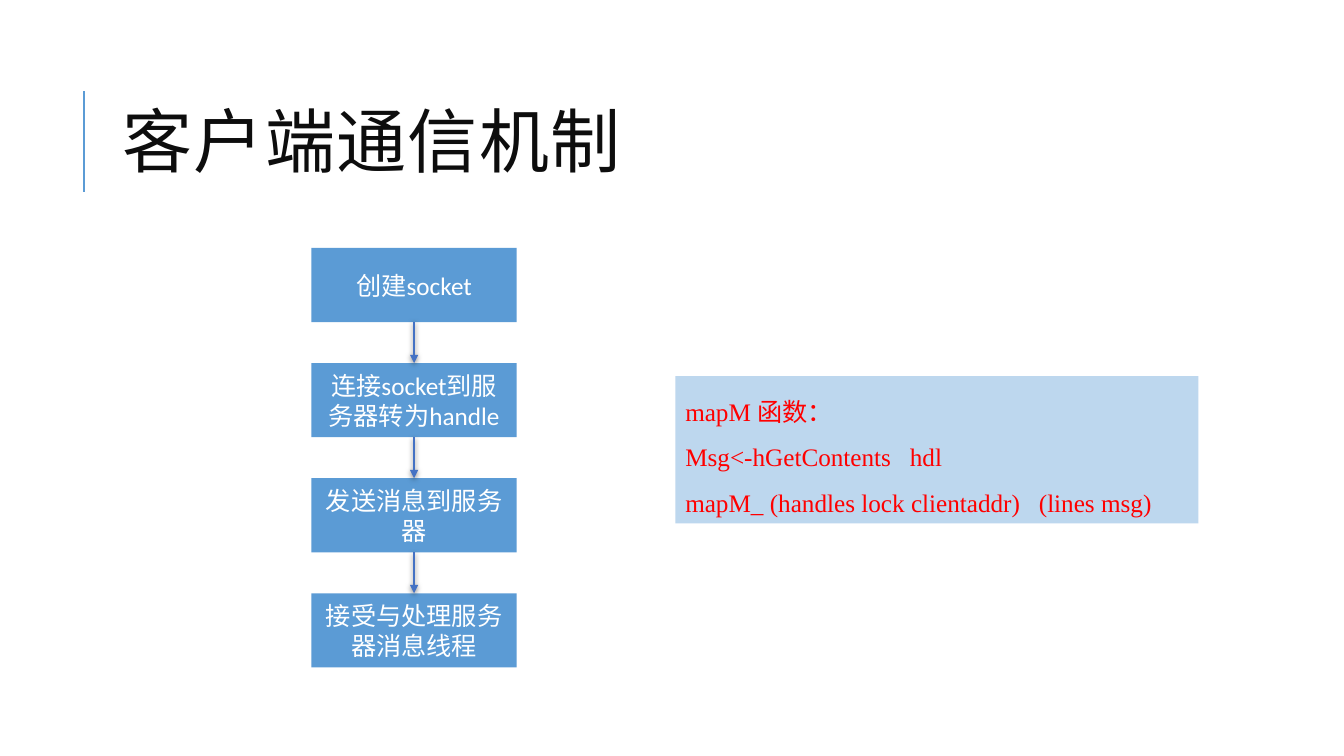
import pptx
import pptx.util
import pptx.dml.color
import pptx.enum.shapes
import pptx.enum.text
import pptx.oxml
import pptx.oxml.ns

Cm = pptx.util.Cm
Pt = pptx.util.Pt

TITLE = "客户端通信机制"
STEPS = [
    "创建socket",
    "连接socket到服务器转为handle",
    "发送消息到服务器",
    "接受与处理服务器消息线程",
]
CODE_LINES = [
    [("mapM ", "Times New Roman"), ("函数：", "Arial")],
    [("Msg<-hGetContents   hdl", "Times New Roman")],
    [("mapM_ (handles lock clientaddr)   (lines msg)", "Times New Roman")],
]

STEP_LEFT, STEP_TOP, STEP_WIDTH, STEP_HEIGHT = 7.85, 6.25, 5.17, 1.87
STEP_PITCH = 2.9
CODE_BOX = (17.02, 9.48, 13.18, 3.71)
TITLE_BOX = (2.84, 1.63, 27, 4.17)
BAR_X, BAR_TOP, BAR_BOTTOM = 2.11, 2.29, 4.83

NAMESPACE = pptx.oxml.ns.nsdecls("a")
NO_EFFECT = f"<a:effectLst {NAMESPACE}/>"
SHADOW = (
    f'<a:effectLst {NAMESPACE}><a:outerShdw blurRad="50800" dist="12700" dir="5400000" '
    'algn="t" rotWithShape="0"><a:srgbClr val="000000"><a:alpha val="50000"/>'
    "</a:srgbClr></a:outerShdw></a:effectLst>"
)
ARROWHEAD = f'<a:tailEnd {NAMESPACE} type="triangle"/>'


def paint(color_format, color):
    color_format.rgb = pptx.dml.color.RGBColor.from_string(color)


def style_font(font, size, color, name=None):
    font.size = Pt(size)
    paint(font.color, color)
    if name:
        font.name = name


def add_box(slide, box, color):
    shape = slide.shapes.add_shape(
        pptx.enum.shapes.MSO_SHAPE.RECTANGLE, *(Cm(value) for value in box))
    shape.shadow.inherit = False
    shape.fill.solid()
    paint(shape.fill.fore_color, color)
    shape.line.fill.background()
    shape.text_frame.word_wrap = True
    return shape


def add_line(slide, start, end, color, effect):
    connector = slide.shapes.add_connector(
        pptx.enum.shapes.MSO_CONNECTOR.STRAIGHT, *(Cm(value) for value in start + end))
    paint(connector.line.color, color)
    connector.line.width = Pt(1.5)
    connector._element.spPr.append(pptx.oxml.parse_xml(effect))
    return connector


def add_title(slide):
    title = slide.shapes.add_textbox(*(Cm(value) for value in TITLE_BOX))
    frame = title.text_frame
    frame.word_wrap = True
    frame.vertical_anchor = pptx.enum.text.MSO_ANCHOR.MIDDLE
    paragraph = frame.paragraphs[0]
    paragraph.line_spacing = 0.8
    run = paragraph.add_run()
    run.text = TITLE
    style_font(paragraph.font, 50, "0D0D0D", "Calibri")
    run._r.get_or_add_rPr().set("spc", "100")


def add_step(slide, index, text):
    top = STEP_TOP + index * STEP_PITCH
    shape = add_box(slide, (STEP_LEFT, top, STEP_WIDTH, STEP_HEIGHT), "5B9BD5")
    shape.text_frame.vertical_anchor = pptx.enum.text.MSO_ANCHOR.MIDDLE
    paragraph = shape.text_frame.paragraphs[0]
    paragraph.text = text
    paragraph.alignment = pptx.enum.text.PP_ALIGN.CENTER
    style_font(paragraph.font, 18, "FFFFFF", "Calibri")
    return shape


def add_arrow(slide, upper, lower):
    arrow = add_line(slide, (0, 0), (1, 1), "4472C4", SHADOW)
    arrow.begin_connect(upper, 2)
    arrow.end_connect(lower, 0)
    arrow.line._get_or_add_ln().append(pptx.oxml.parse_xml(ARROWHEAD))


def add_code(slide):
    frame = add_box(slide, CODE_BOX, "BDD7EE").text_frame
    frame.vertical_anchor = pptx.enum.text.MSO_ANCHOR.TOP
    frame.auto_size = pptx.enum.text.MSO_AUTO_SIZE.SHAPE_TO_FIT_TEXT
    for index, runs in enumerate(CODE_LINES):
        paragraph = frame.add_paragraph() if index else frame.paragraphs[0]
        paragraph.alignment = pptx.enum.text.PP_ALIGN.LEFT
        paragraph.line_spacing = 1.5
        style_font(paragraph.font, 18, "FF0000")
        for text, font_name in runs:
            run = paragraph.add_run()
            run.text = text
            run.font.name = font_name


def main():
    presentation = pptx.Presentation()
    presentation.slide_width = Cm(33.87)
    presentation.slide_height = Cm(19.05)
    slide = presentation.slides.add_slide(presentation.slide_layouts[6])

    add_line(slide, (BAR_X, BAR_BOTTOM), (BAR_X, BAR_TOP), "5B9BD5", NO_EFFECT)
    add_title(slide)
    steps = [add_step(slide, index, text) for index, text in enumerate(STEPS)]
    for upper, lower in zip(steps, steps[1:]):
        add_arrow(slide, upper, lower)
    add_code(slide)

    presentation.save("out.pptx")


if __name__ == "__main__":
    main()
